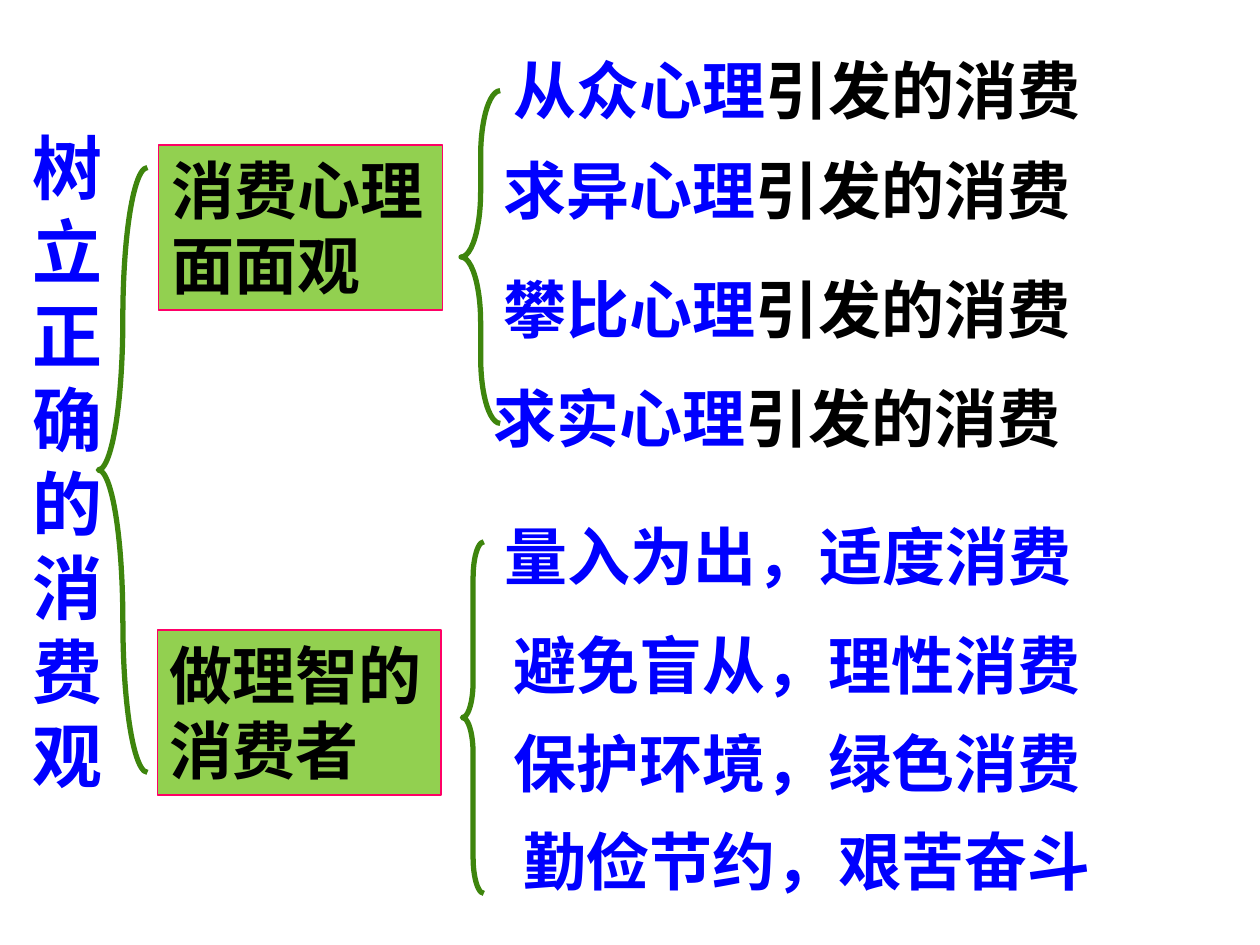
from lxml import etree
from pptx import Presentation
from pptx import util as u
from pptx.dml.color import RGBColor
from pptx.enum import shapes, text
from pptx.oxml.ns import qn

FONT, BLUE, BLACK = "Noto Sans CJK SC", "0000FF", "000000"
WIDE, HIGH = 10, 7.5


def tint(code):
    return RGBColor.from_string(code)


def write(par, words, size, color, face=FONT):
    run = par.add_run()
    run.text = words
    for key, val in {"size": u.Pt(size), "bold": True, "name": face}.items():
        setattr(run.font, key, val)
    run.font.color.rgb = tint(color)
    east = etree.SubElement(run.font._element, qn("a:ea"))
    east.set("typeface", FONT)


deck = Presentation()
deck.slide_width, deck.slide_height = u.Inches(WIDE), u.Inches(HIGH)
page = deck.slides.add_slide(deck.slide_layouts[6])

# Braces: left, top, width, height, curl
for *area, curl in [
    (0.78, 1.33, 0.39, 4.8, 5.58),
    (3.67, 4.3, 0.17, 2.79, 1.67),
    (3.66, 0.72, 0.31, 2.64, 1.67),
]:
    brace = page.shapes.add_shape(shapes.MSO_SHAPE.LEFT_BRACE, *map(u.Inches, area))
    brace.shadow.inherit = False
    brace.adjustments[0] = curl
    brace.fill.background()
    brace.line.color.rgb = tint("3E850D")
    brace.line.width = u.Pt(3)

# Green topic boxes
for left, top, words in [(1.26, 1.15, "消费心理面面观"), (1.25, 5, "做理智的消费者")]:
    box = page.shapes.add_shape(
        shapes.MSO_SHAPE.RECTANGLE, *map(u.Inches, (left, top, 2.25, 1.31)))
    box.shadow.inherit = False
    box.fill.solid()
    box.fill.fore_color.rgb = tint("92D050")
    box.line.color.rgb = tint("FF0066")
    box.line.width = u.Pt(0.75)
    frame = box.text_frame
    frame.word_wrap = True
    frame.vertical_anchor = text.MSO_ANCHOR.TOP
    frame.paragraphs[0].alignment = text.PP_ALIGN.LEFT
    write(frame.paragraphs[0], words, 36, BLACK)

# Branch lines: left, top, blue words, black words
TAIL = "引发的消费"
for left, top, lead, tail in [
    (3.98, 0.36, "从众心理", TAIL),
    (3.9, 1.15, "求异心理", TAIL),
    (3.9, 2.1, "攀比心理", TAIL),
    (3.82, 2.96, "求实心理", TAIL),
    (3.91, 4.06, "量入为出，适度消费", ""),
    (3.98, 4.92, "避免盲从，理性消费", ""),
    (3.98, 5.7, "保护环境，绿色消费", ""),
    (4.06, 6.48, "勤俭节约，艰苦奋斗", ""),
]:
    note = page.shapes.add_textbox(*map(u.Inches, (left, top, 4.76, 0.7)))
    note.text_frame.word_wrap = True
    line = note.text_frame.paragraphs[0]
    write(line, lead, 36, BLUE)
    if tail:
        write(line, tail, 36, BLACK, "Arial")

# Upright title, one character a paragraph
title = page.shapes.add_textbox(*map(u.Inches, (0.16, 0.94, 0.76, 5.49)))
frame = title.text_frame
frame.word_wrap = False
for spot, sign in enumerate("树立正确的消费观"):
    par = frame.add_paragraph() if spot else frame.paragraphs[0]
    write(par, sign, 40, BLUE)

deck.save("out.pptx")
